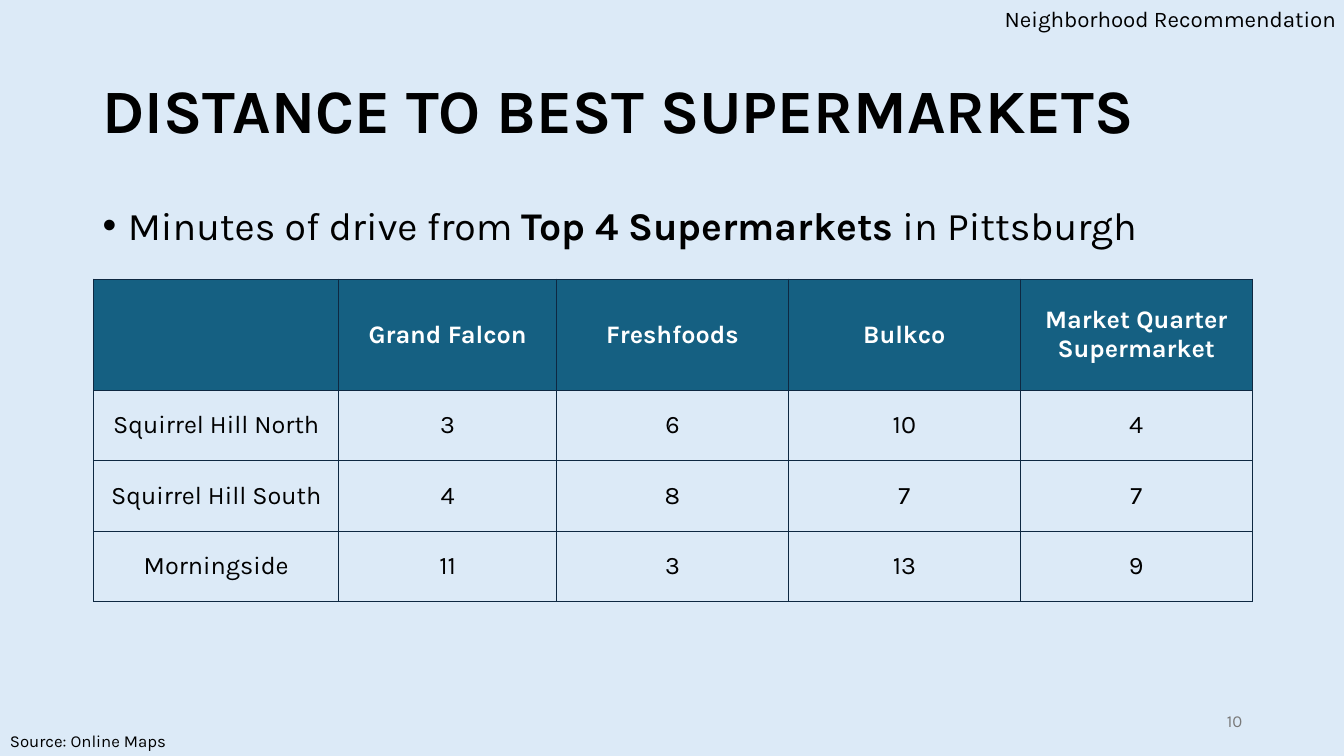
from dataclasses import dataclass

from lxml import etree
from pptx import Presentation
from pptx.dml.color import RGBColor
from pptx.enum import text as t
from pptx.oxml import ns
from pptx.util import Inches, Pt


@dataclass(frozen=True)
class Theme:
    font: str = "Karla"
    background: RGBColor = RGBColor.from_string("DCEAF7")
    ink: RGBColor = RGBColor.from_string("000000")
    header_fill: RGBColor = RGBColor.from_string("156082")
    header_ink: RGBColor = RGBColor.from_string("FFFFFF")
    muted: RGBColor = RGBColor.from_string("797979")
    border: str = "0E2841"
    title: int = 44
    lead: int = 28
    table: int = 18
    section: int = 16
    small: int = 12


theme = Theme()
LEFT, CENTER, RIGHT = t.PP_ALIGN.LEFT, t.PP_ALIGN.CENTER, t.PP_ALIGN.RIGHT
TOP, MIDDLE, BOTTOM = t.MSO_ANCHOR.TOP, t.MSO_ANCHOR.MIDDLE, t.MSO_ANCHOR.BOTTOM


def write(paragraph, runs, size, color, align=LEFT):
    """Fill a paragraph from (wording, bold) pairs."""
    paragraph.alignment = align
    for wording, bold in runs:
        run = paragraph.add_run()
        run.text = wording
        run.font.name = theme.font
        run.font.size = Pt(size)
        run.font.bold = bold
        run.font.color.rgb = color


def add_text(box, runs, size, color, align=LEFT, anchor=TOP):
    frame = slide.shapes.add_textbox(*map(Inches, box)).text_frame
    frame.word_wrap = True
    frame.vertical_anchor = anchor
    write(frame.paragraphs[0], runs, size, color, align)
    return frame.paragraphs[0]


prs = Presentation()
prs.slide_width, prs.slide_height = Inches(13.33), Inches(7.5)
slide = prs.slides.add_slide(prs.slide_layouts[6])
slide.background.fill.solid()
slide.background.fill.fore_color.rgb = theme.background

# Title and lead sentence
title = add_text((0.92, 0.4, 11.5, 1.45), [("DISTANCE TO BEST SUPERMARKETS", True)],
                 theme.title, theme.ink, anchor=MIDDLE)
title.line_spacing = 0.9

lead = add_text((0.92, 2, 11.5, 0.65),
                [("Minutes of drive from ", False), ("Top 4 Supermarkets", True),
                 (" in Pittsburgh", False)], theme.lead, theme.ink)
lead.line_spacing = 0.9
lead_props = lead._p.get_or_add_pPr()
lead_props.set("marL", str(Inches(0.25)))
lead_props.set("indent", str(-Inches(0.25)))
etree.SubElement(lead_props, ns.qn("a:buFont"), typeface="Arial")
etree.SubElement(lead_props, ns.qn("a:buChar"), char="•")

# Drive times
drive_times = [
    ("", "Grand Falcon", "Freshfoods", "Bulkco", "Market Quarter Supermarket"),
    ("Squirrel Hill North", "3", "6", "10", "4"),
    ("Squirrel Hill South", "4", "8", "7", "7"),
    ("Morningside", "11", "3", "13", "9"),
]
column_widths = [2.43, 2.16, 2.3, 2.3, 2.3]
row_heights = [1.1, 0.7, 0.7, 0.7]
table = slide.shapes.add_table(
    len(row_heights), len(column_widths), Inches(0.93), Inches(2.77),
    Inches(sum(column_widths)), Inches(sum(row_heights))).table
table.horz_banding = False
for column, width in zip(table.columns, column_widths):
    column.width = Inches(width)
for row, height in zip(table.rows, row_heights):
    row.height = Inches(height)

for row_index, entries in enumerate(drive_times):
    is_header = row_index == 0
    for column_index, entry in enumerate(entries):
        cell = table.cell(row_index, column_index)
        cell.vertical_anchor = MIDDLE
        cell_props = cell._tc.get_or_add_tcPr()
        for side in ("lnL", "lnR", "lnT", "lnB"):
            edge = etree.SubElement(cell_props, ns.qn(f"a:{side}"), w=str(Pt(1)))
            edge_fill = etree.SubElement(edge, ns.qn("a:solidFill"))
            etree.SubElement(edge_fill, ns.qn("a:srgbClr"), val=theme.border)
        if is_header:
            cell.fill.solid()
            cell.fill.fore_color.rgb = theme.header_fill
        else:
            cell.fill.background()
        if entry:
            write(cell.text_frame.paragraphs[0], [(entry, is_header)], theme.table,
                  theme.header_ink if is_header else theme.ink, CENTER)

# Section name, source and page number
add_text((0, 0, 13.35, 0.37), [("Neighborhood Recommendation", False)],
         theme.section, theme.ink, RIGHT)
add_text((0, 7.19, 13.35, 0.31), [("Source: Online Maps", False)],
         theme.small, theme.ink, anchor=BOTTOM)
add_text((9.42, 6.95, 3, 0.4), [("10", False)], theme.small, theme.muted, RIGHT, MIDDLE)

prs.save("out.pptx")
